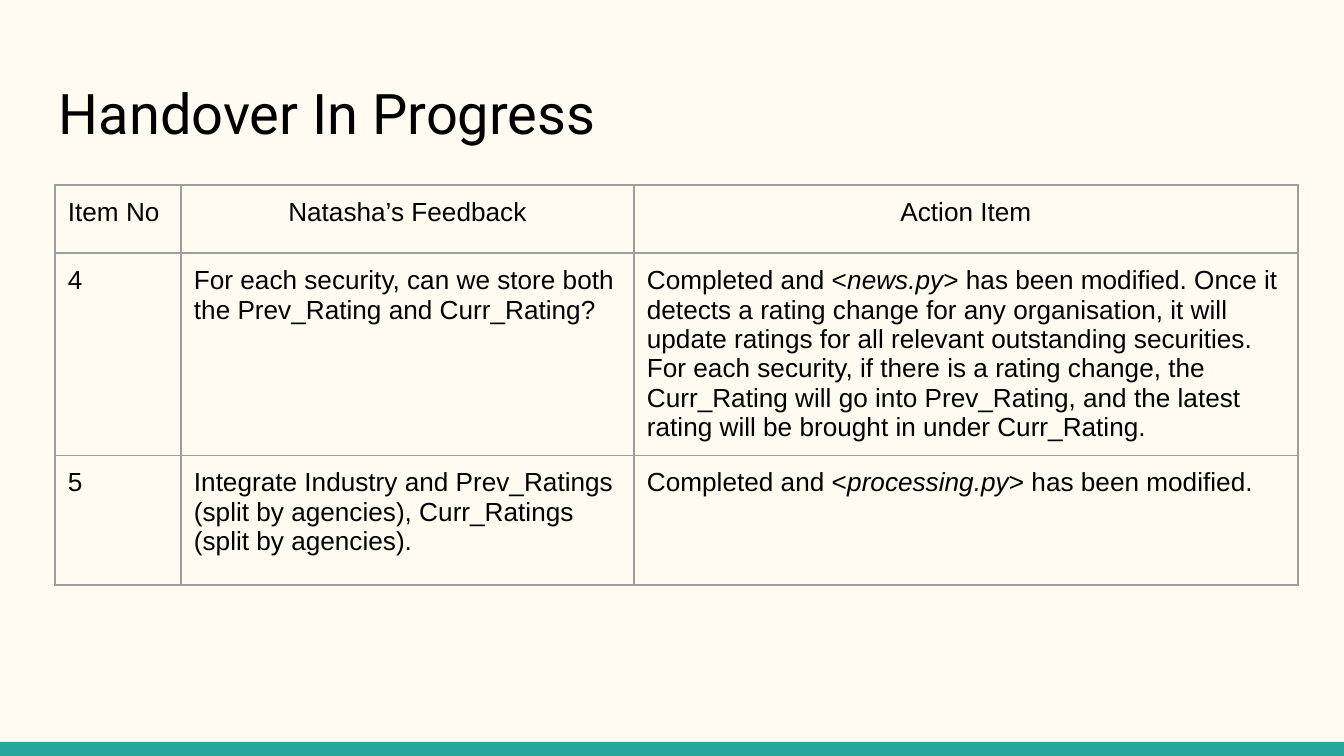
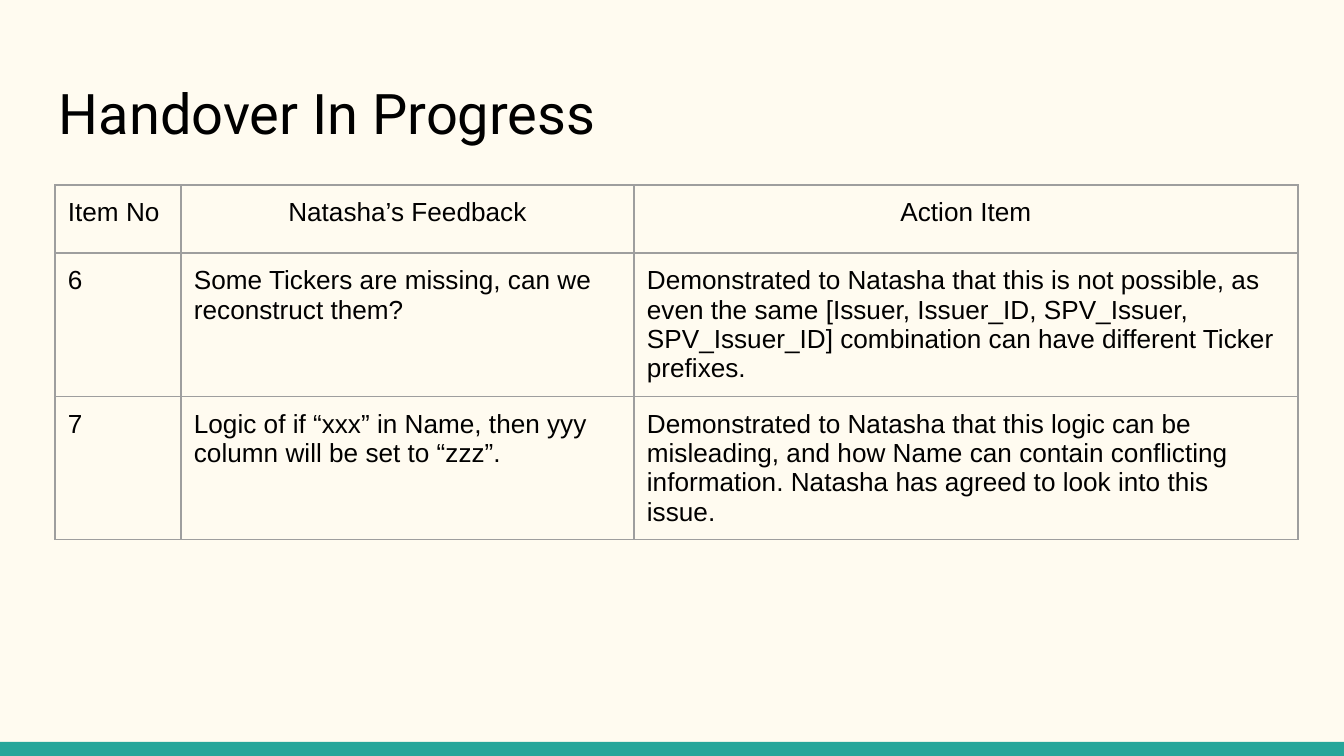
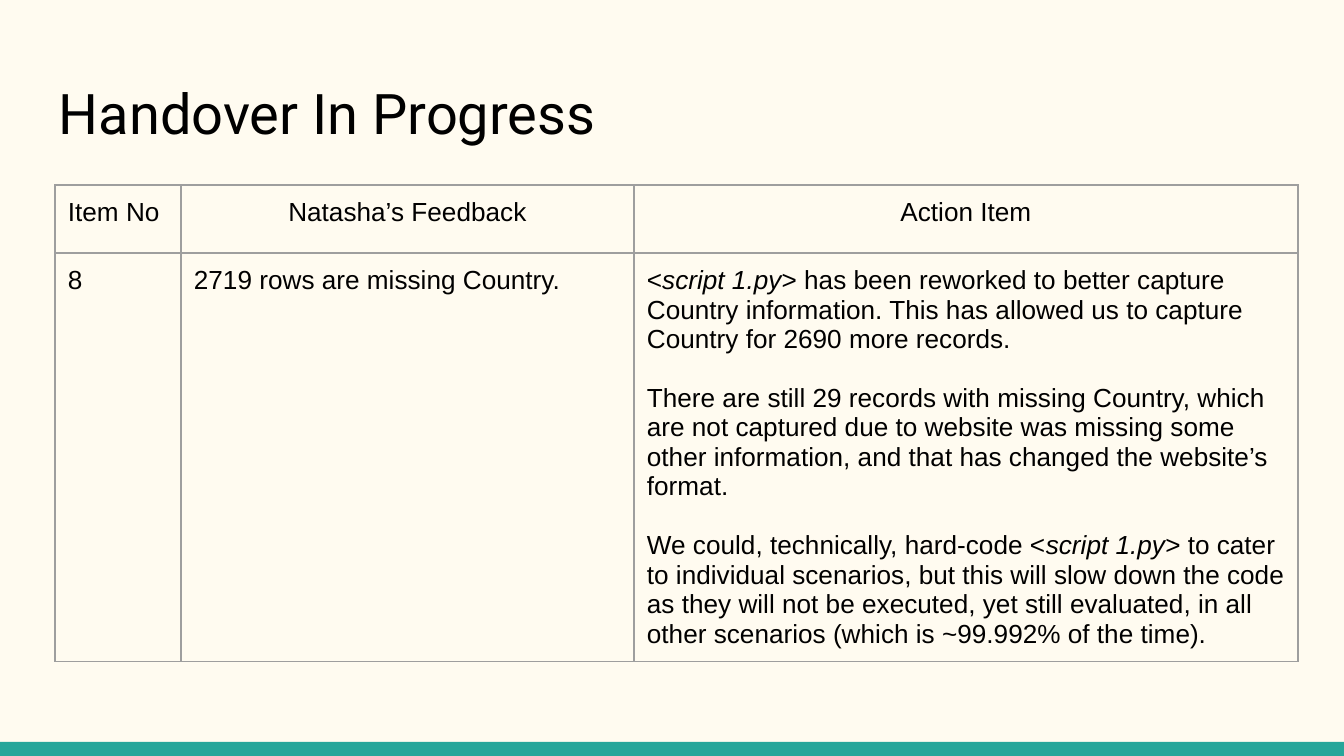
from lxml import etree
from pptx import Presentation
from pptx.dml.color import RGBColor
from pptx.enum.shapes import MSO_SHAPE
from pptx.enum.text import MSO_ANCHOR, MSO_AUTO_SIZE, PP_ALIGN
from pptx.oxml.ns import qn
from pptx.util import Emu, Pt

RECT = MSO_SHAPE.RECTANGLE
TOP = MSO_ANCHOR.TOP
FIXED = MSO_AUTO_SIZE.NONE
LEFT, CENTER = PP_ALIGN.LEFT, PP_ALIGN.CENTER

SCALE = 914400 / 134.4
WIDE, HIGH = 1344, 756
PAD = 13
COLS = (126, 453, 664)
HEAD_H, ROW_H = 68, 130
BORDER = 9525

CREAM, TEAL, GREY, BLACK = "FFFBF0", "26A69A", "9E9E9E", "000000"
TITLE = "Handover In Progress"
HEADS = ("Item No", "Natasha’s Feedback", "Action Item")

# One list of rows per slide; asterisks enclose italics
PAGES = [
    [
        ("4",
         "For each security, can we store both the Prev_Rating and Curr_Rating?",
         "Completed and <*news.py*> has been modified. Once it detects a rating "
         "change for any organisation, it will update ratings for all relevant "
         "outstanding securities. For each security, if there is a rating change, "
         "the Curr_Rating will go into Prev_Rating, and the latest rating will be "
         "brought in under Curr_Rating."),
        ("5",
         "Integrate Industry and Prev_Ratings (split by agencies), Curr_Ratings "
         "(split by agencies).",
         "Completed and <*processing.py*> has been modified."),
    ],
    [
        ("6",
         "Some Tickers are missing, can we reconstruct them?",
         "Demonstrated to Natasha that this is not possible, as even the same "
         "[Issuer, Issuer_ID, SPV_Issuer, SPV_Issuer_ID] combination can have "
         "different Ticker prefixes."),
        ("7",
         "Logic of if “xxx” in Name, then yyy column will be set to “zzz”.",
         "Demonstrated to Natasha that this logic can be misleading, and how Name "
         "can contain conflicting information. Natasha has agreed to look into "
         "this issue."),
    ],
    [
        ("8",
         "2719 rows are missing Country.",
         "<*script 1.py*> has been reworked to better capture Country information. "
         "This has allowed us to capture Country for 2690 more records.\n"
         "There are still 29 records with missing Country, which are not captured "
         "due to website was missing some other information, and that has changed "
         "the website’s format.\n"
         "We could, technically, hard-code <*script 1.py*> to cater to individual "
         "scenarios, but this will slow down the code as they will not be executed, "
         "yet still evaluated, in all other scenarios (which is ~99.992% of the "
         "time)."),
    ],
]


def px(n):
    return Emu(round(n * SCALE))


def paint(color):
    return RGBColor.from_string(color)


def write(frame, text, font="Arial", size=14, color=BLACK, align=LEFT, gap=0):
    for i, line in enumerate(text.split("\n")):
        para = frame.add_paragraph() if i else frame.paragraphs[0]
        para.alignment = align
        para.space_before = Pt(gap if i else 0)
        for k, part in enumerate(line.split("*")):
            if part:
                run = para.add_run()
                run.text = part
                run.font.name = font
                run.font.size = Pt(size)
                run.font.italic = k % 2 == 1
                run.font.color.rgb = paint(color)


def inset(box):
    box.margin_left = box.margin_right = px(PAD)
    box.margin_top = box.margin_bottom = px(PAD)
    box.vertical_anchor = TOP


def edge(cell):
    props = cell._tc.get_or_add_tcPr()
    for tag in ("a:lnL", "a:lnR", "a:lnT", "a:lnB"):
        line = etree.SubElement(props, qn(tag), w=str(BORDER))
        fill = etree.SubElement(line, qn("a:solidFill"))
        etree.SubElement(fill, qn("a:srgbClr"), val=GREY)


class Deck:
    def __init__(self):
        self.prs = Presentation()
        self.prs.slide_width, self.prs.slide_height = px(WIDE), px(HIGH)
        self.slide = None
        back = self.prs.slide_master.background.fill
        back.solid()
        back.fore_color.rgb = paint(CREAM)

    def page(self):
        self.slide = self.prs.slides.add_slide(self.prs.slide_layouts[5])

    def band(self):
        # Drawn once, then kept on the master for every slide
        bar = self.slide.shapes.add_shape(RECT, 0, px(742), px(WIDE), px(HIGH - 742))
        bar.shadow.inherit = False
        bar.fill.solid()
        bar.fill.fore_color.rgb = paint(TEAL)
        bar.line.fill.background()
        bar.element.nvSpPr.cNvPr.set("id", "99")
        self.prs.slide_master.shapes.element.insert(2, bar.element)

    def title(self, text):
        box = self.slide.shapes.title
        box.left, box.top, box.width, box.height = map(px, (46, 66, 1252, 90))
        frame = box.text_frame
        inset(frame)
        frame.auto_size = FIXED
        frame.word_wrap = True
        write(frame, text, font="Roboto", size=30)

    def table(self, rows):
        count = len(rows) + 1
        grid = self.slide.shapes.add_table(
            count, len(COLS), px(55), px(185), px(sum(COLS)),
            px(HEAD_H + ROW_H * len(rows))).table
        grid.first_row = grid.horz_banding = False
        for col, width in zip(grid.columns, COLS):
            col.width = px(width)
        for r, row in enumerate([HEADS, *rows]):
            grid.rows[r].height = px(ROW_H if r else HEAD_H)
            for c, text in enumerate(row):
                cell = grid.cell(r, c)
                inset(cell)
                edge(cell)
                cell.fill.background()
                align = CENTER if r == 0 and c else LEFT
                write(cell.text_frame, text, align=align, gap=16)


def main():
    deck = Deck()
    for i, rows in enumerate(PAGES):
        deck.page()
        if i == 0:
            deck.band()
        deck.title(TITLE)
        deck.table(rows)
    deck.prs.save("out.pptx")


if __name__ == "__main__":
    main()
